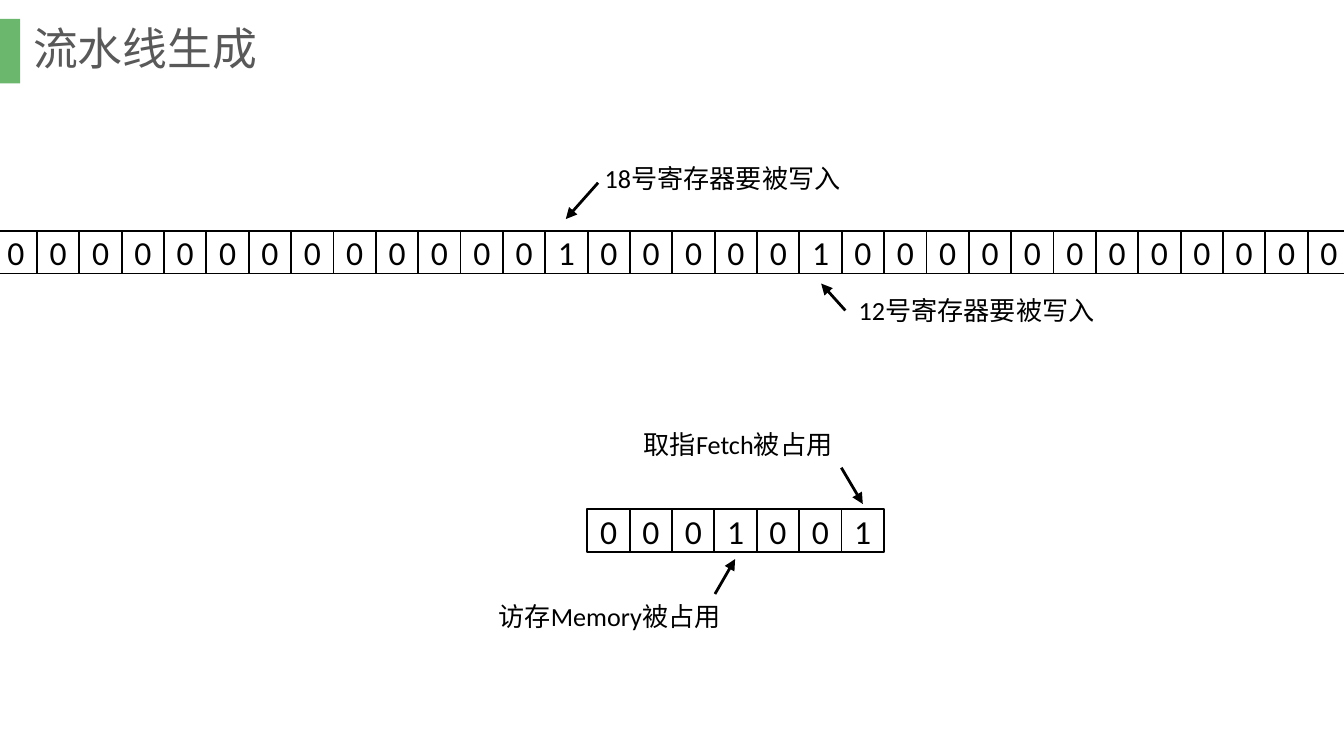
from lxml.etree import SubElement
from pptx import Presentation
from pptx.dml.color import RGBColor
from pptx.enum.shapes import MSO_CONNECTOR, MSO_SHAPE
from pptx.enum.text import MSO_ANCHOR, PP_ALIGN
from pptx.oxml.ns import qn
from pptx.util import Inches, Pt

COLORS = {"accent": "6BB76D", "title": "595959", "ink": "000000"}
CELL = (9.73 + 0.04) / 31  # pitch of the 32 register bits


def format_text(frame, text, size, color, font="Calibri", align=PP_ALIGN.LEFT):
    """Fill a text frame with one formatted line."""
    frame.text = text
    paragraph = frame.paragraphs[0]
    paragraph.alignment = align
    run_font = paragraph.runs[0].font
    run_font.name, run_font.size = font, Pt(size)
    run_font.color.rgb = RGBColor.from_string(COLORS[color])


prs = Presentation()
prs.slide_width = Inches(10)
prs.slide_height = prs.slide_width * 9 // 16
slide = prs.slides.add_slide(prs.slide_layouts[5])
shapes = slide.shapes
ink = RGBColor.from_string(COLORS["ink"])

# Heading
title = shapes.title
title.left, title.top = Inches(0.15), Inches(0.2)
title.width, title.height = Inches(1.86), Inches(0.36)
heading = title.text_frame
heading.margin_left = heading.margin_right = heading.margin_top = heading.margin_bottom = 0
heading.vertical_anchor = MSO_ANCHOR.TOP
heading.word_wrap = False
format_text(heading, "流水线生成", 24, "title", "Arial", PP_ALIGN.CENTER)
heading.paragraphs[0].line_spacing = 0.9

marker = shapes.add_shape(MSO_SHAPE.RECTANGLE, 0, Inches(0.14), Inches(0.15), Inches(0.48))
marker.shadow.inherit = False
marker.fill.solid()
marker.fill.fore_color.rgb = RGBColor.from_string(COLORS["accent"])
marker.line.fill.background()

# Bit masks: left, top, number of bits, bits that are set
masks = [
    (-0.04, 1.72, 32, {18, 12}),
    (4.37, 3.79, 7, {3, 0}),
]
for left, top, width, set_bits in masks:
    for column in range(width):
        bit = width - 1 - column
        cell = shapes.add_shape(MSO_SHAPE.RECTANGLE, Inches(left + column * CELL),
                                Inches(top), Inches(CELL), Inches(CELL))
        cell.shadow.inherit = False
        cell.fill.background()
        cell.line.color.rgb = ink
        cell.line.width = Pt(1)
        digit = cell.text_frame
        digit.margin_left = digit.margin_right = 0
        digit.vertical_anchor = MSO_ANCHOR.MIDDLE
        format_text(digit, "1" if bit in set_bits else "0", 18, "ink", align=PP_ALIGN.CENTER)

# Notes on the set bits: text, left, top, arrow start, arrow end
callouts = [
    ("18号寄存器要被写入", 4.4, 1.16, (4.45, 1.36), (4.21, 1.63)),
    ("12号寄存器要被写入", 6.29, 2.14, (6.29, 2.31), (6.11, 2.11)),
    ("取指Fetch被占用", 4.69, 3.14, (6.26, 3.48), (6.42, 3.75)),
    ("访存Memory被占用", 3.61, 4.42, (5.32, 4.42), (5.47, 4.16)),
]
for text, left, top, start, end in callouts:
    arrow = shapes.add_connector(MSO_CONNECTOR.STRAIGHT, *map(Inches, start + end))
    arrow.line.color.rgb = ink
    arrow.line.width = Pt(1.5)
    SubElement(arrow.line._get_or_add_ln(), qn("a:tailEnd"), type="triangle")
    SubElement(arrow._element.spPr, qn("a:effectLst"))

    label = shapes.add_textbox(Inches(left), Inches(top), Inches(2.02), Inches(0.34))
    label.text_frame.word_wrap = True
    format_text(label.text_frame, text, 14, "ink")

prs.save("out.pptx")
